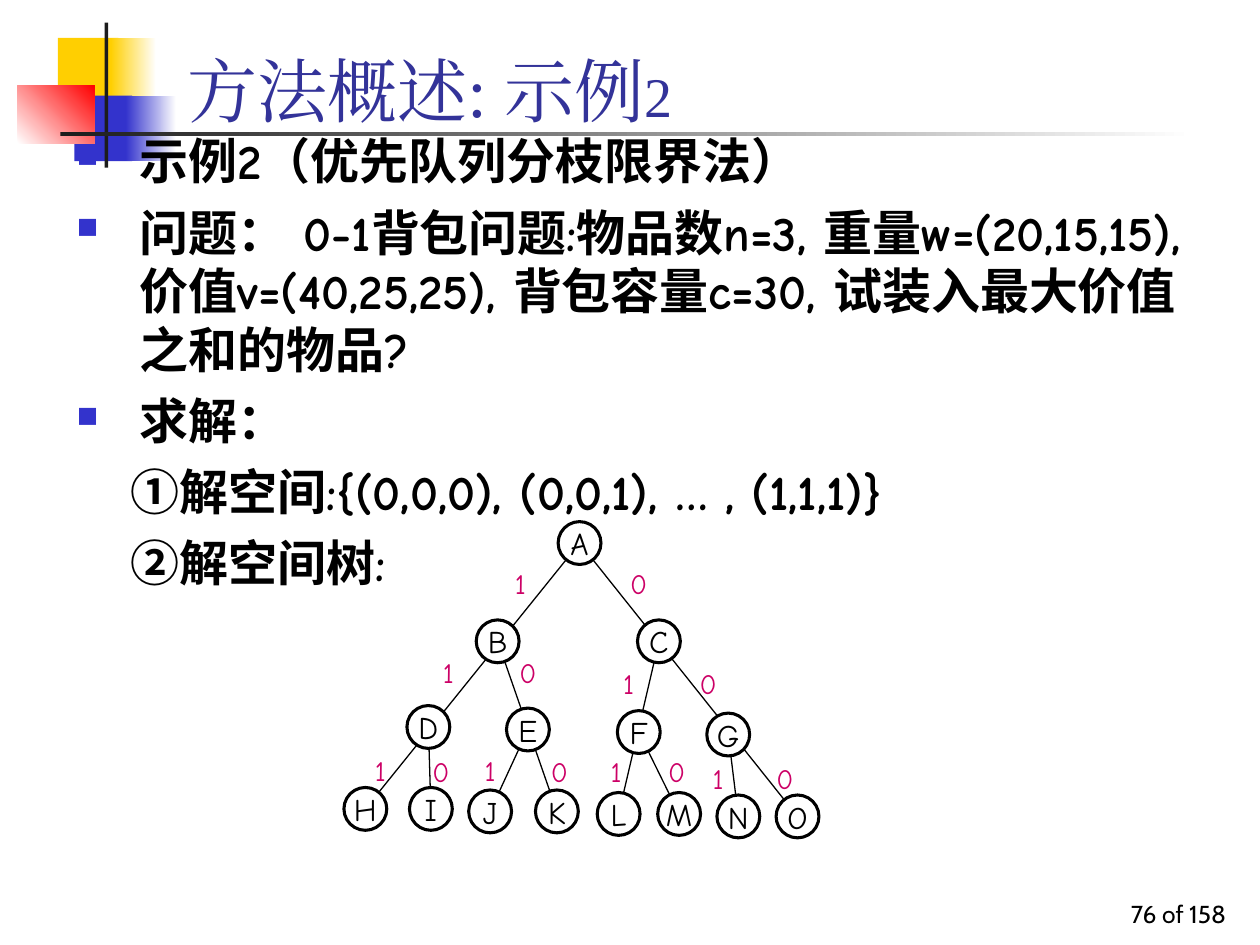
from dataclasses import dataclass

from lxml import etree
from pptx import Presentation
from pptx.dml.color import RGBColor
from pptx.enum.shapes import MSO_CONNECTOR, MSO_SHAPE
from pptx.enum.text import MSO_ANCHOR, PP_ALIGN
from pptx.oxml.ns import qn
from pptx.util import Inches, Pt

RECTANGLE, ELLIPSE = MSO_SHAPE.RECTANGLE, MSO_SHAPE.OVAL
STRAIGHT = MSO_CONNECTOR.STRAIGHT
MIDDLE, BOTTOM, TOP = MSO_ANCHOR.MIDDLE, MSO_ANCHOR.BOTTOM, MSO_ANCHOR.TOP
LEFT, CENTER, RIGHT = PP_ALIGN.LEFT, PP_ALIGN.CENTER, PP_ALIGN.RIGHT


@dataclass(frozen=True)
class Theme:
    title_font: str = "Times New Roman"
    body_font: str = "Comic Neue"
    footer_font: str = "Cabin"
    title_size: int = 40
    title_number_size: int = 32
    body_size: int = 28
    node_size: int = 18
    branch_size: int = 16
    footer_size: int = 14
    title: str = "333399"
    ink: str = "000000"
    paper: str = "FFFFFF"
    branch: str = "CC0066"
    yellow: str = "FFCF01"
    blue: str = "3333CC"
    red: str = "FF0000"
    bar: str = "1C1C1C"


THEME = Theme()
NODE_DIAMETER = 0.34

# Centres of the tree nodes
NODES = {
    "A": (4.6, 4.31), "B": (3.95, 5.09), "C": (5.23, 5.09),
    "D": (3.4, 5.77), "E": (4.19, 5.79), "F": (5.07, 5.81), "G": (5.78, 5.83),
    "H": (2.9, 6.42), "I": (3.42, 6.42), "J": (3.89, 6.44), "K": (4.42, 6.44),
    "L": (4.91, 6.46), "M": (5.39, 6.46), "N": (5.86, 6.48), "O": (6.33, 6.48),
}
# Each straight branch runs from its top node down to a leaf
BRANCHES = ["AO", "BK", "DI", "AH", "EJ", "FM", "CL", "GN"]
# Centres of the choice labels
CHOICES = {
    "1": [(4.13, 4.63), (3.56, 5.34), (3.02, 6.11), (4.99, 5.42),
          (4.89, 6.12), (3.89, 6.11), (5.7, 6.18)],
    "0": [(5.07, 4.63), (4.19, 5.34), (3.5, 6.12), (4.44, 6.12),
          (5.37, 6.12), (6.23, 6.18), (5.62, 5.42)],
}
BULLETS = [
    "示例2（优先队列分枝限界法）",
    "问题： 0-1背包问题:物品数n=3, 重量w=(20,15,15), 价值v=(40,25,25), "
    "背包容量c=30, 试装入最大价值之和的物品?",
    "求解：",
]
STEPS = ["①解空间:{(0,0,0), (0,0,1), … , (1,1,1)}", "②解空间树:"]


def rgb(value):
    return RGBColor.from_string(value)


def style_run(run, font, size, color, bold=False):
    run.font.name, run.font.size, run.font.bold = font, Pt(size), bold
    run.font.color.rgb = rgb(color)
    east_asian = etree.SubElement(run.font._element, qn("a:ea"))
    east_asian.set("typeface", font)


def add_text_area(slide, box, anchor):
    frame = slide.shapes.add_textbox(*map(Inches, box)).text_frame
    frame.word_wrap = True
    frame.vertical_anchor = anchor
    return frame


def add_block(slide, box, color, fade_to=None, angle=0):
    block = slide.shapes.add_shape(RECTANGLE, *map(Inches, box))
    block.shadow.inherit = False
    block.line.fill.background()
    if fade_to is None:
        block.fill.solid()
        block.fill.fore_color.rgb = rgb(color)
        return
    block.fill.gradient()
    block.fill.gradient_angle = angle
    for stop, stop_color, position in zip(block.fill.gradient_stops, (color, fade_to), (0, 1)):
        stop.color.rgb = rgb(stop_color)
        stop.position = position


def set_indent(paragraph, margin, first_line):
    properties = paragraph._p.get_or_add_pPr()
    properties.set("marL", str(Inches(margin)))
    properties.set("indent", str(Inches(first_line)))
    return properties


def add_bullet(properties):
    color = etree.SubElement(properties, qn("a:buClr"))
    etree.SubElement(color, qn("a:srgbClr")).set("val", THEME.blue)
    etree.SubElement(properties, qn("a:buSzPct")).set("val", "60000")
    etree.SubElement(properties, qn("a:buChar")).set("char", "■")


def add_circle(tree, center, text, size, color, outlined):
    x, y = center
    circle = tree.shapes.add_shape(
        ELLIPSE, Inches(x - NODE_DIAMETER / 2), Inches(y - NODE_DIAMETER / 2),
        Inches(NODE_DIAMETER), Inches(NODE_DIAMETER))
    circle.shadow.inherit = False
    if outlined:
        circle.fill.solid()
        circle.fill.fore_color.rgb = rgb(THEME.paper)
        circle.line.color.rgb = rgb(THEME.ink)
        circle.line.width = Pt(1.75)
    else:
        circle.fill.background()
        circle.line.fill.background()
    frame = circle.text_frame
    frame.word_wrap = False
    frame.vertical_anchor = MIDDLE
    label = frame.paragraphs[0]
    label.text = text
    label.alignment = CENTER
    style_run(label.runs[0], THEME.body_font, size, color)


def add_branch(tree, start, end):
    branch = tree.shapes.add_connector(STRAIGHT, *map(Inches, start + end))
    branch.line.color.rgb = rgb(THEME.ink)
    branch.line.width = Pt(0.75)
    etree.SubElement(branch._element.spPr, qn("a:effectLst"))


def add_decoration(slide):
    add_block(slide, (0.46, 0.3, 0.48, 0.52), THEME.yellow)
    add_block(slide, (0.88, 0.3, 0.36, 0.52), THEME.yellow, THEME.paper)
    add_block(slide, (0.59, 0.76, 0.46, 0.52), THEME.blue)
    add_block(slide, (1, 0.76, 0.4, 0.52), THEME.blue, THEME.paper)
    add_block(slide, (0.14, 0.68, 0.61, 0.46), THEME.paper, THEME.red, angle=45)
    add_block(slide, (0.83, 0.18, 0.03, 1.15), THEME.bar)
    add_block(slide, (0.48, 1.05, 9, 0.03), THEME.bar, THEME.paper)


def add_footer(slide):
    page = add_text_area(slide, (7.75, 6.92, 2.08, 0.5), BOTTOM).paragraphs[0]
    page.text = "76 of 158"
    page.alignment = RIGHT
    style_run(page.runs[0], THEME.footer_font, THEME.footer_size, THEME.ink)


def add_title(slide):
    title = add_text_area(slide, (1.39, 0.17, 8.52, 0.92), BOTTOM).paragraphs[0]
    title.alignment = LEFT
    for text, size in (("方法概述: 示例", THEME.title_size), ("2", THEME.title_number_size)):
        run = title.add_run()
        run.text = text
        style_run(run, THEME.title_font, size, THEME.title)


def add_body(slide):
    frame = add_text_area(slide, (0.51, 0.99, 9.13, 5.43), TOP)
    for index, text in enumerate(BULLETS + STEPS):
        paragraph = frame.add_paragraph() if index else frame.paragraphs[0]
        paragraph.text = text
        paragraph.space_before = Pt(7)
        if index < len(BULLETS):
            add_bullet(set_indent(paragraph, 0.5, -0.5))
        else:
            set_indent(paragraph, 0.43, 0)
        style_run(paragraph.runs[0], THEME.body_font, THEME.body_size, THEME.ink, bold=True)


def add_tree(slide):
    tree = slide.shapes.add_group_shape()
    for top, leaf in BRANCHES:
        add_branch(tree, NODES[top], NODES[leaf])
    for name, center in NODES.items():
        add_circle(tree, center, name, THEME.node_size, THEME.ink, outlined=True)
    for choice, centers in CHOICES.items():
        for center in centers:
            add_circle(tree, center, choice, THEME.branch_size, THEME.branch, outlined=False)


def main():
    deck = Presentation()
    deck.slide_width, deck.slide_height = Inches(10), Inches(7.5)
    slide = deck.slides.add_slide(deck.slide_layouts[6])
    add_decoration(slide)
    add_footer(slide)
    add_title(slide)
    add_body(slide)
    add_tree(slide)
    deck.save("out.pptx")


if __name__ == "__main__":
    main()
